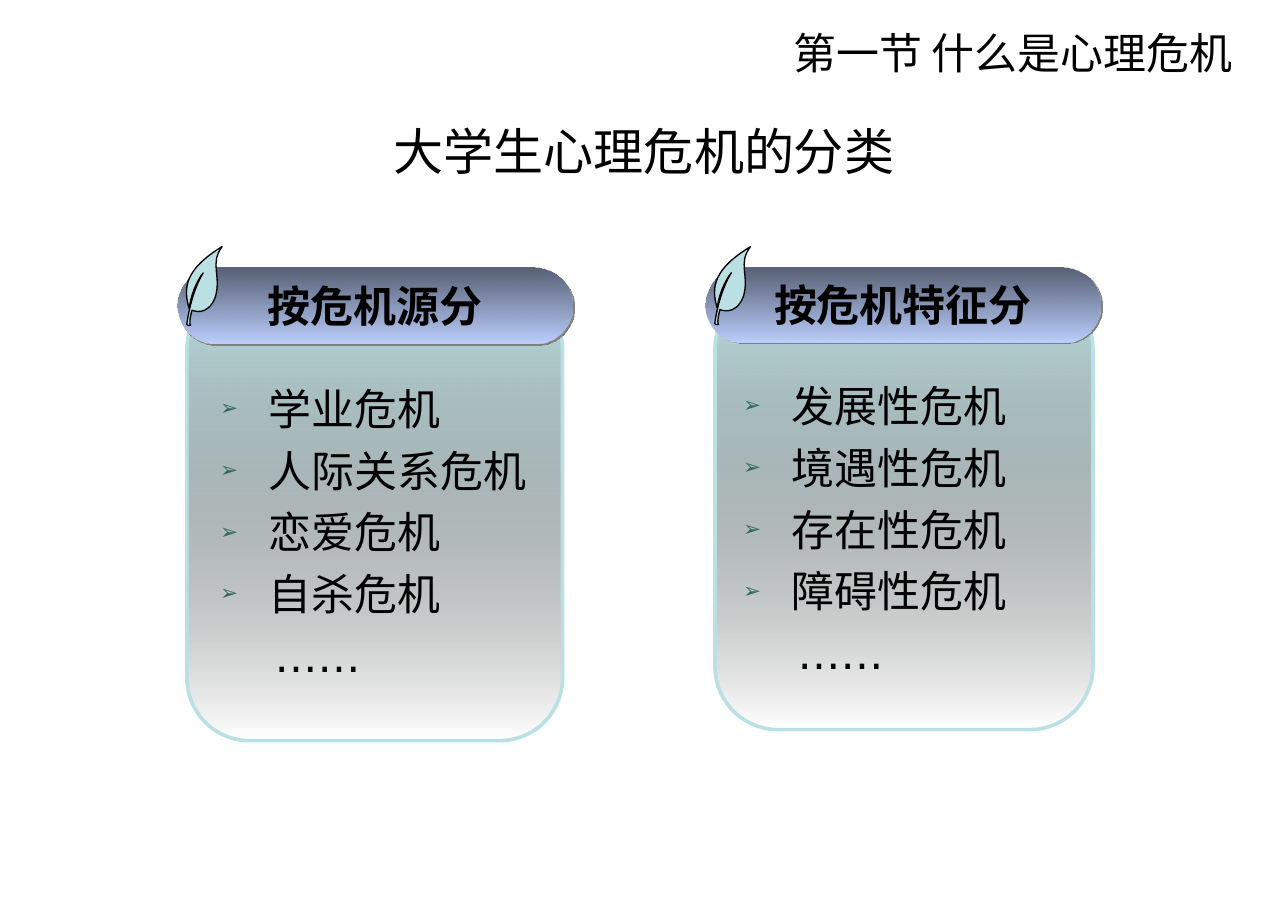
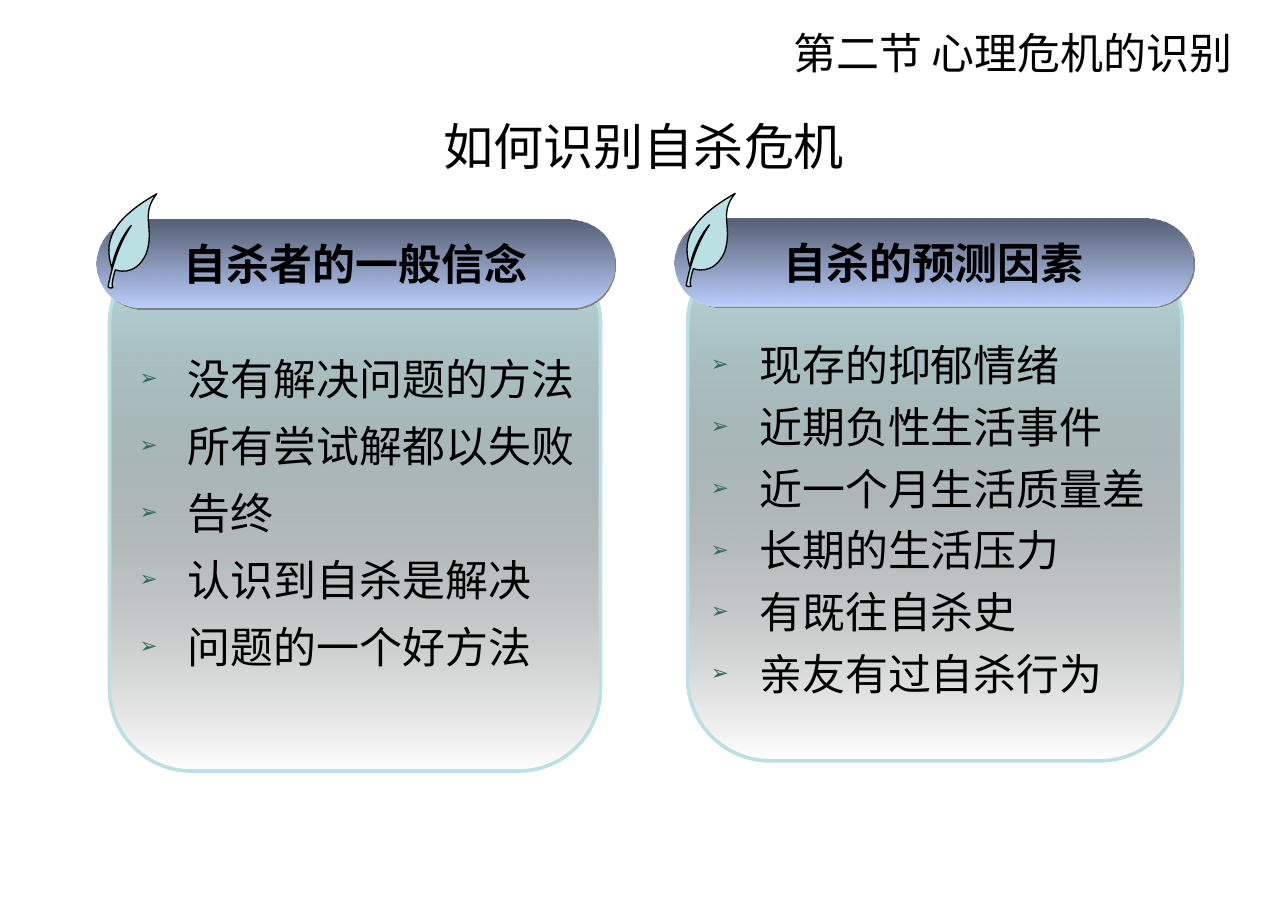
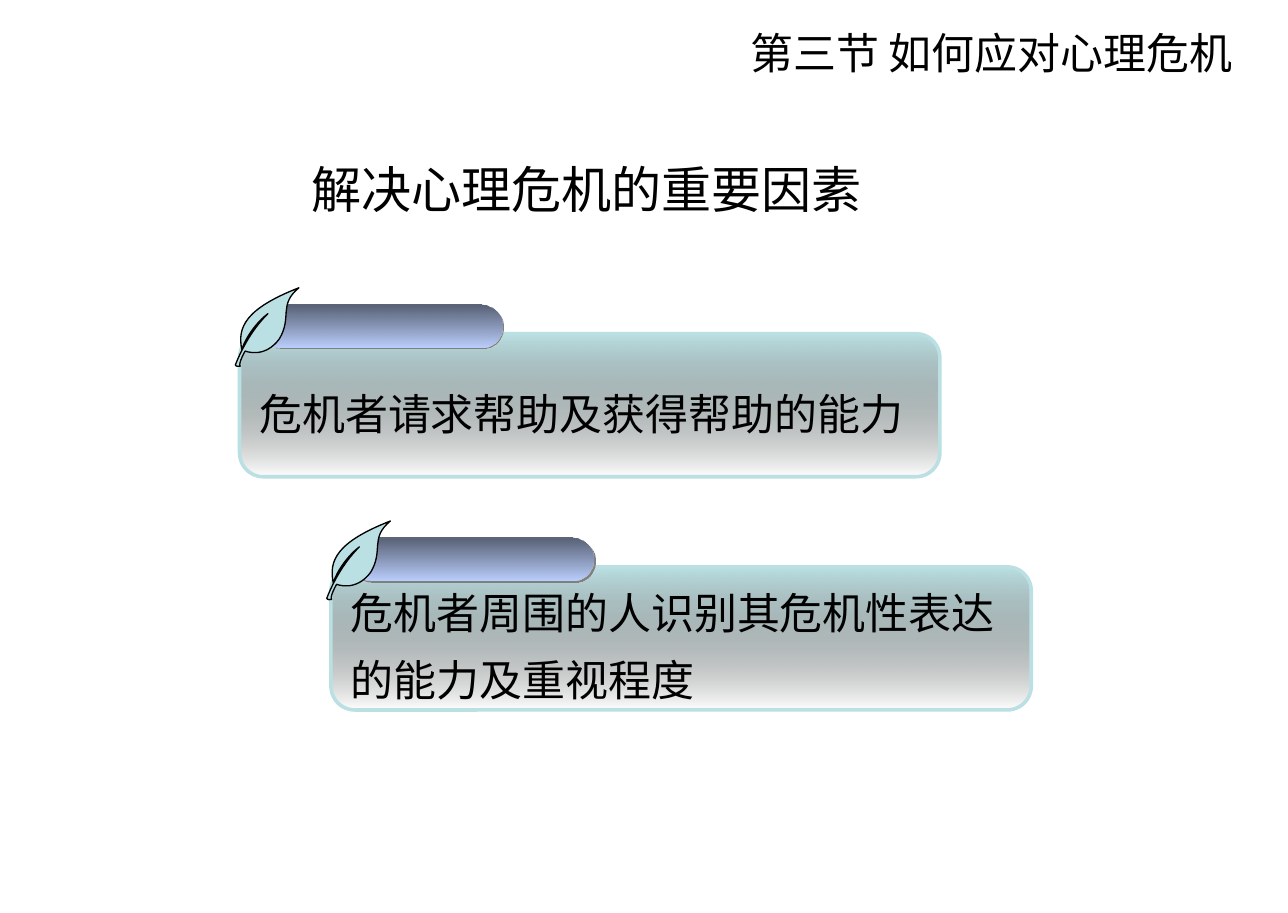
from lxml.etree import SubElement
from pptx import Presentation
from pptx.dml.color import RGBColor
from pptx.enum.lang import MSO_LANGUAGE_ID as Lang
from pptx.enum.shapes import MSO_SHAPE as Shape
from pptx.enum.text import MSO_ANCHOR as Anchor, MSO_AUTO_SIZE as AutoSize, PP_ALIGN as Align
from pptx.oxml.ns import qn
from pptx.util import Pt

COLORS = {
    "text": "000000", "aqua": "BBE0E3", "slate": "565F74",
    "periwinkle": "BBCFFD", "shadow": "808080", "bullet": "33695D",
}
SANS, WIDE, CJK = "Arial", "DejaVu Sans", "Noto Sans CJK SC"

# Leaf outline in a unit box: a start point, then cubic curves.
LEAF_START = (0, 0.97)
LEAF_CURVES = [
    ((0, 0.97), (0, 1), (0.06, 1)),
    ((0.04, 0.95), (0.16, 0.79), (0.16, 0.79)),
    ((0.16, 0.79), (0.39, 0.96), (0.63, 0.7)),
    ((0.85, 0.41), (0.69, 0.2), (1, 0)),
    ((0.26, 0.17), (0.11, 0.42), (0.12, 0.76)),
    ((0.19, 0.6), (0.38, 0.39), (0.54, 0.3)),
    ((0.27, 0.51), (0.08, 0.82), (0, 0.97)),
]


def rgb(name):
    return RGBColor.from_string(COLORS[name])


def add_child(parent, tag, **attributes):
    return SubElement(parent, qn(tag), {key: str(value) for key, value in attributes.items()})


def style_text(para, size, font, bold=False):
    for span in para.runs:
        span.font.size = Pt(size)
        span.font.name = font
        span.font.bold = bold
        span.font.color.rgb = rgb("text")
        span.font.language_id = Lang.SIMPLIFIED_CHINESE


def fill_gradient(shape, colors, alphas):
    """Fill from top to bottom; alphas are percentages."""
    shape.fill.gradient()
    shape.fill.gradient_angle = 270
    for stop, position, color in zip(shape.fill.gradient_stops, (0, 1), colors):
        stop.position = position
        stop.color.rgb = rgb(color)
    for node, alpha in zip(shape.element.spPr.iter(qn("a:srgbClr")), alphas):
        if alpha < 100:
            add_child(node, "a:alpha", val=alpha * 1000)


def add_rounded(page, left, top, width, height, corner):
    shape = page.shapes.add_shape(
        Shape.ROUNDED_RECTANGLE, Pt(left), Pt(top), Pt(width), Pt(height))
    shape.shadow.inherit = False
    shape.adjustments[0] = corner
    return shape


def add_panel(page, left, top, width, height):
    panel = add_rounded(page, left, top, width, height, 0.167)
    fill_gradient(panel, ("aqua", "text"), (100, 0))
    panel.line.color.rgb = rgb("aqua")
    panel.line.width = Pt(2)
    return panel


def add_cap(page, left, top, width, height, text=""):
    cap = add_rounded(page, left, top, width, height, 0.5)
    fill_gradient(cap, ("slate", "periwinkle"), (97, 100))
    cap.line.fill.background()
    effects = cap.element.spPr.find(qn("a:effectLst"))
    shadow = add_child(effects, "a:outerShdw", dist=Pt(1.4), dir=45 * 60000,
                       algn="ctr", rotWithShape=0)
    add_child(shadow, "a:srgbClr", val=COLORS["shadow"])
    if text:
        frame = cap.text_frame
        frame.word_wrap = False
        frame.vertical_anchor = Anchor.MIDDLE
        frame.text = text
        frame.paragraphs[0].alignment = Align.CENTER
        style_text(frame.paragraphs[0], 24, WIDE, bold=True)


def add_leaf(page, left, top, width, height, rotation):
    def place(point):
        return Pt(left + point[0] * width), Pt(top + point[1] * height)

    builder = page.shapes.build_freeform(*place(LEAF_START))
    builder.add_line_segments([place(curve[-1]) for curve in LEAF_CURVES], close=True)
    leaf = builder.convert_to_shape()
    bend_segments(leaf, width, height)
    leaf.rotation = rotation
    leaf.shadow.inherit = False
    leaf.fill.solid()
    leaf.fill.fore_color.rgb = rgb("aqua")
    leaf.line.color.rgb = rgb("text")
    leaf.line.width = Pt(0.75)


def bend_segments(leaf, width, height):
    """Turn the leaf's straight segments into its cubic curves."""
    segments = list(leaf.element.spPr.iter(qn("a:lnTo")))
    for segment, curve in zip(segments, LEAF_CURVES):
        outline = segment.getparent()
        bend = add_child(outline, "a:cubicBezTo")
        for x, y in curve:
            add_child(bend, "a:pt", x=Pt(x * width), y=Pt(y * height))
        outline.replace(segment, bend)


def add_text_box(page, left, top, width, height):
    box = page.shapes.add_textbox(Pt(left), Pt(top), Pt(width), Pt(height))
    box.text_frame.word_wrap = True
    box.text_frame.auto_size = AutoSize.SHAPE_TO_FIT_TEXT
    return box.text_frame


def write_lines(frame, lines, font, spacing):
    frame.text = "\n".join(lines)
    for para in frame.paragraphs:
        para.line_spacing = spacing
        para.alignment = Align.LEFT
        style_text(para, 24, font)


def indent_list(frame):
    """Give each line an arrow bullet; a closing ellipsis is only indented."""
    for para in frame.paragraphs:
        properties = para._p.get_or_add_pPr()
        if para.text == "……":
            properties.set("marL", str(Pt(30.5)))
            properties.set("indent", "0")
            continue
        properties.set("marL", str(Pt(27)))
        properties.set("indent", str(-Pt(27)))
        color = add_child(properties, "a:buClr")
        add_child(color, "a:srgbClr", val=COLORS["bullet"])
        add_child(properties, "a:buSzPct", val=50000)
        add_child(properties, "a:buFont", typeface=WIDE)
        add_child(properties, "a:buChar", char="➢")


def add_card(page, cap, panel_size, heading, list_area, lines, font, spacing):
    """A panel with a titled cap, a leaf and a list, all placed from the cap."""
    left, top, width, height = cap
    add_panel(page, left + width / 40, top + height / 4, *panel_size)
    add_cap(page, *cap, heading)
    add_leaf(page, left, top - height * 0.19, width * 0.14, height * 0.88, 344)
    frame = add_text_box(page, *list_area)
    write_lines(frame, lines, font, spacing)
    indent_list(frame)


def add_note(page, left, top, lines):
    panel = add_panel(page, left, top, 391.5, 80)
    panel.text_frame.word_wrap = False
    panel.text_frame.vertical_anchor = Anchor.MIDDLE
    write_lines(panel.text_frame, lines, SANS, 1.3)
    add_cap(page, left + 10.8, top - 16.5, 136, 24)
    add_leaf(page, left - 5.7, top - 22.3, 42.5, 37.5, 350)


def add_page(deck, section, title, area, align=Align.CENTER):
    page = deck.slides.add_slide(deck.slide_layouts[5])
    holder = page.shapes.title
    holder.left, holder.top, holder.width, holder.height = map(Pt, area)
    frame = holder.text_frame
    frame.text = title
    frame.vertical_anchor = Anchor.MIDDLE
    frame.paragraphs[0].alignment = align
    style_text(frame.paragraphs[0], 28, SANS)
    return page


def add_section(page, text, width):
    label = add_text_box(page, 696 - width, 11.5, width, 36)
    label.text = text
    label.paragraphs[0].alignment = Align.RIGHT
    style_text(label.paragraphs[0], 24, CJK)


def main():
    deck = Presentation()
    deck.slide_width, deck.slide_height = Pt(720), Pt(510.5)

    page = add_page(deck, "第一节", "大学生心理危机的分类", (36, 62.5, 648, 43))
    add_card(page, (99, 149.5, 221, 42.5), (210, 254), "按危机源分",
             (116, 204.5, 194, 180),
             ["学业危机", "人际关系危机", "恋爱危机", "自杀危机", "……"], WIDE, 1.2)
    add_card(page, (394.2, 149.5, 221, 41.8), (211.3, 248), "按危机特征分",
             (408.3, 203, 189, 180),
             ["发展性危机", "境遇性危机", "存在性危机", "障碍性危机", "……"], WIDE, 1.2)
    add_section(page, "第一节 什么是心理危机", 327)

    page = add_page(deck, "第二节", "如何识别自杀危机", (36, 57, 648, 49))
    add_card(page, (54, 122.5, 289.3, 49.7), (274.5, 296.2), "自杀者的一般信念",
             (71, 185, 261, 223),
             ["没有解决问题的方法", "所有尝试解都以失败", "告终", "认识到自杀是解决",
              "问题的一个好方法"], SANS, 1.3)
    add_card(page, (377.2, 122.2, 289.3, 49), (276.5, 291), "自杀的预测因素",
             (390.3, 180, 265, 215),
             ["现存的抑郁情绪", "近期负性生活事件", "近一个月生活质量差", "长期的生活压力",
              "有既往自杀史", "亲友有过自杀行为"], SANS, 1.2)
    add_section(page, "第二节 心理危机的识别", 303)

    page = add_page(deck, "第三节", "解决心理危机的重要因素", (167, 85, 351, 41), Align.LEFT)
    add_note(page, 185, 317, ["危机者周围的人识别其危机性表达", "的能力及重视程度"])
    add_note(page, 133.9, 186.6, ["危机者请求帮助及获得帮助的能力"])
    add_section(page, "第三节 如何应对心理危机", 314)

    deck.save("out.pptx")


if __name__ == "__main__":
    main()
